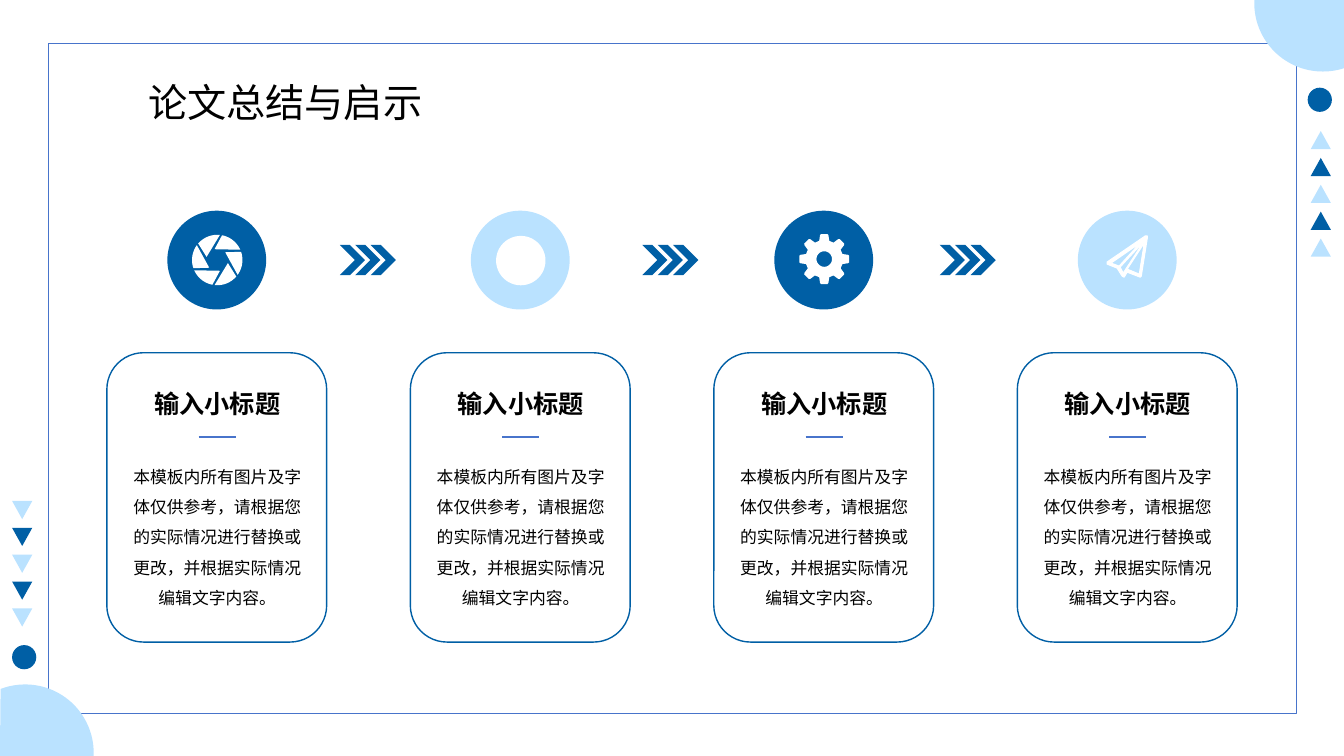
from math import cos, radians, sin

from lxml import etree
from pptx import Presentation
from pptx.dml.color import RGBColor
from pptx.enum.lang import MSO_LANGUAGE_ID as LANG
from pptx.enum.shapes import MSO_CONNECTOR, MSO_SHAPE
from pptx.enum.text import MSO_ANCHOR, MSO_AUTO_SIZE, PP_ALIGN
from pptx.oxml.ns import qn
from pptx.util import Inches, Pt

NAVY = RGBColor(0x00, 0x5F, 0xA5)
SKY = RGBColor(0xBA, 0xE2, 0xFF)
FRAME_BLUE = RGBColor(0x48, 0x74, 0xCB)
WHITE = RGBColor(0xFF, 0xFF, 0xFF)
BLACK = RGBColor(0x00, 0x00, 0x00)

CARD_STEP = 3.01
HEADING = "输入小标题"
BODY = ("本模板内所有图片及字体仅供参考，请根据您的实际情况进行替换或更改，"
        "并根据实际情况编辑文字内容。")

prs = Presentation()
prs.slide_width, prs.slide_height = Inches(13.33), Inches(7.5)
slide = prs.slides.add_slide(prs.slide_layouts[5])
shapes = slide.shapes


def paint(shape, fill=None, line=None, width=1):
    shape.shadow.inherit = False
    if fill is None:
        shape.fill.background()
    else:
        shape.fill.solid()
        shape.fill.fore_color.rgb = fill
    if line is None:
        shape.line.fill.background()
    else:
        shape.line.color.rgb = line
        shape.line.width = Pt(width)


def write(box, text, size, bold=False, align=PP_ALIGN.CENTER, spacing=1.0,
          inset_x=0.1, inset_y=0.05):
    frame = box.text_frame
    frame.word_wrap = True
    frame.auto_size = MSO_AUTO_SIZE.SHAPE_TO_FIT_TEXT
    frame.vertical_anchor = MSO_ANCHOR.TOP
    frame.margin_left = frame.margin_right = Inches(inset_x)
    frame.margin_top = frame.margin_bottom = Inches(inset_y)
    paragraph = frame.paragraphs[0]
    paragraph.alignment = align
    paragraph.line_spacing = spacing
    run = paragraph.add_run()
    run.text = text
    font = run.font
    font.size, font.bold, font.name = Pt(size), bold, "Calibri"
    font.color.rgb = BLACK
    font.language_id = LANG.SIMPLIFIED_CHINESE
    etree.SubElement(run.font._element, qn("a:ea"), typeface="Calibri")


# Title
title = shapes.title
title.left, title.top = Inches(1.47), Inches(0.78)
title.width, title.height = Inches(3.6), Inches(0.47)
write(title, "论文总结与启示", 28, align=PP_ALIGN.LEFT, inset_x=0, inset_y=0)

# Frame
frame_box = shapes.add_shape(MSO_SHAPE.RECTANGLE, Inches(0.48), Inches(0.43),
                             Inches(12.38), Inches(6.65))
paint(frame_box, line=FRAME_BLUE)

# Triangle columns and dots on both edges
for tri_x, tri_top, dot_x, dot_y, rotation in [(13, 1.3, 12.97, 0.87, 0),
                                             (0.12, 4.97, 0.12, 6.4, 180)]:
    for row in range(5):
        triangle = shapes.add_shape(MSO_SHAPE.ISOSCELES_TRIANGLE, Inches(tri_x),
                                    Inches(tri_top + row * 0.2665),
                                    Inches(0.2), Inches(0.18))
        triangle.rotation = rotation
        paint(triangle, fill=NAVY if row % 2 else SKY)
    dot = shapes.add_shape(MSO_SHAPE.OVAL, Inches(dot_x), Inches(dot_y),
                           Inches(0.24), Inches(0.24))
    paint(dot, fill=NAVY)

# Triple arrows between the steps
for arrow_x in (3.37, 6.37, 9.32):
    for part in range(3):
        chevron = shapes.add_shape(MSO_SHAPE.CHEVRON,
                                   Inches(arrow_x + part * 0.153), Inches(2.43),
                                   Inches(0.25), Inches(0.3))
        chevron.adjustments[0] = 0.6
        paint(chevron, fill=NAVY)

# Steps: icon disc, card, heading, rule and body
for step, disc_color in enumerate([NAVY, SKY, NAVY, SKY]):
    shift = step * CARD_STEP
    disc = shapes.add_shape(MSO_SHAPE.OVAL, Inches(1.66 + shift), Inches(2.09),
                            Inches(0.98), Inches(0.98))
    paint(disc, fill=disc_color)
    card = shapes.add_shape(MSO_SHAPE.ROUNDED_RECTANGLE, Inches(1.06 + shift),
                            Inches(3.5), Inches(2.18), Inches(2.87))
    paint(card, line=NAVY)
    rule = shapes.add_connector(MSO_CONNECTOR.STRAIGHT, Inches(1.97 + shift),
                                Inches(4.34), Inches(2.34 + shift), Inches(4.34))
    rule.line.color.rgb = FRAME_BLUE
    rule.line.width = Pt(1.5)
    etree.SubElement(rule._element.spPr, qn("a:effectLst"))
    body = shapes.add_textbox(Inches(1.24 + shift), Inches(4.5),
                              Inches(1.83), Inches(1.55))
    write(body, BODY, 12, spacing=1.5, inset_x=0.07, inset_y=0.03)
    heading = shapes.add_textbox(Inches(1.22 + shift), Inches(3.8),
                                 Inches(1.87), Inches(0.4))
    write(heading, HEADING, 18, bold=True)

# Plain white disc for the second step
camera = shapes.add_shape(MSO_SHAPE.OVAL, Inches(4.92), Inches(2.34),
                          Inches(0.49), Inches(0.49))
paint(camera, fill=WHITE)

# Corner discs, cut off by the slide edges
top_corner = [(13.33, 0)] + [
    (13.12 + 0.68 * cos(radians(a)), 0.03 + 0.68 * sin(radians(a)))
    for a in range(72, 181, 3)] + [(12.44, 0)]
bottom_corner = [(0, 7.5)] + [
    (0.25 + 0.68 * cos(radians(a)), 7.47 + 0.68 * sin(radians(a)))
    for a in range(249, 361, 3)] + [(0.93, 7.5)]

# Aperture: six blades turned by 60 degrees
aperture = []
for turn in range(0, 360, 60):
    blade = [(0.25, a) for a in range(84, 140, 5)] + [(0.11, 164)]
    aperture.append([(2.155 + r * cos(radians(a + turn)),
                      2.58 - r * sin(radians(a + turn))) for r, a in blade])

# Gear: eight teeth turned by 45 degrees, and a round hole
teeth = []
for turn in range(0, 360, 45):
    tooth = [(0.187, -15.5), (0.24, -10), (0.25, -7.5),
             (0.25, 7.5), (0.24, 10), (0.187, 15.5)]
    teeth += [(8.175 + r * cos(radians(a + turn)),
               2.57 + r * sin(radians(a + turn))) for r, a in tooth]
hole = [(8.175 + 0.077 * cos(radians(a)), 2.57 - 0.077 * sin(radians(a)))
        for a in range(0, 360, 10)]

# Paper plane: outline and three folds
plane = [
    [(11.38, 2.34), (11.36, 2.34), (10.98, 2.6), (10.98, 2.62), (11.08, 2.66),
     (11.13, 2.74), (11.15, 2.75), (11.18, 2.7), (11.31, 2.75), (11.32, 2.74),
     (11.38, 2.36)],
    [(11.3, 2.72), (11.18, 2.67), (11.35, 2.41)],
    [(11.11, 2.65), (11.35, 2.39), (11.14, 2.71)],
    [(11.02, 2.61), (11.31, 2.41), (11.1, 2.64)],
]

for contours, fill, line in [([top_corner], SKY, None),
                             ([bottom_corner], SKY, None),
                             (aperture, WHITE, None),
                             ([teeth, hole], WHITE, None),
                             (plane, WHITE, WHITE)]:
    builder = None
    for contour in contours:
        points = [(Inches(x), Inches(y)) for x, y in contour]
        if builder is None:
            builder = shapes.build_freeform(*points[0])
        else:
            builder.move_to(*points[0])
        builder.add_line_segments(points[1:], close=True)
    paint(builder.convert_to_shape(), fill=fill, line=line, width=0.75)

prs.save("out.pptx")
